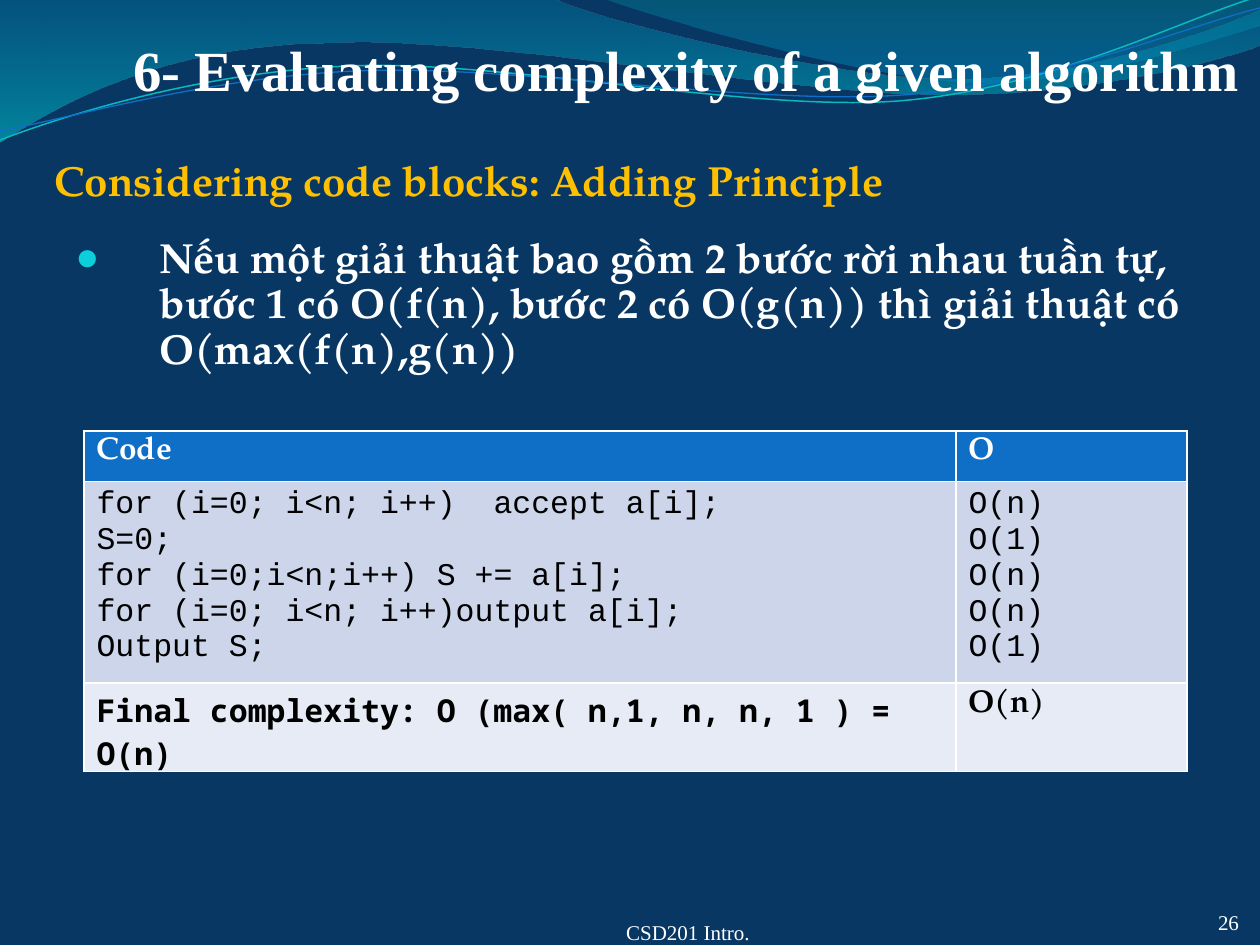
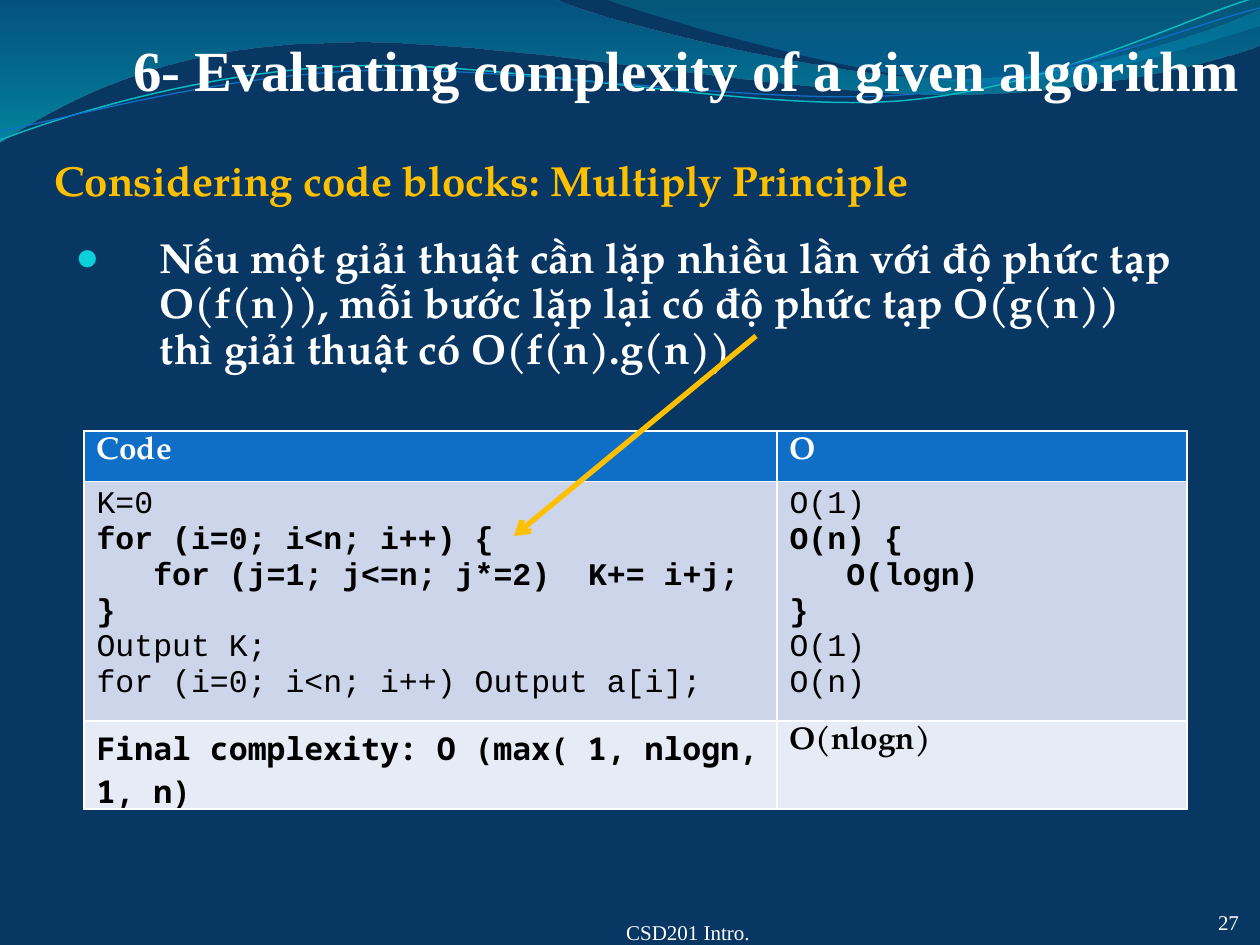
from lxml.etree import SubElement
from pptx import Presentation
from pptx.dml.color import RGBColor
from pptx.enum.shapes import MSO_CONNECTOR
from pptx.enum.text import MSO_ANCHOR, PP_ALIGN
from pptx.oxml.ns import qn
from pptx.util import Emu, Pt

SCALE = 914400 / 126
NAVY = RGBColor(0x08, 0x37, 0x63)
WHITE = RGBColor(0xFF, 0xFF, 0xFF)
BLACK = RGBColor(0, 0, 0)
GOLD = RGBColor(0xFF, 0xC0, 0x00)
CYAN = RGBColor(0x0B, 0xD0, 0xD9)
BLUE = RGBColor(0x0F, 0x6F, 0xC6)
TEAL_LINE = RGBColor(0x0A, 0xB8, 0xBF)
DEEP_BLUE = RGBColor(0x00, 0x74, 0xA1)
AQUA = RGBColor(0x00, 0xC6, 0xCF)
TEAL = RGBColor(0x00, 0xA1, 0xA9)
AZURE = RGBColor(0x00, 0x8B, 0xBF)
ROW_DARK = RGBColor(0xCC, 0xD5, 0xEA)
ROW_LIGHT = RGBColor(0xE7, 0xEB, 0xF5)
SERIF, TITLE_FONT = "TeX Gyre Pagella", "Times New Roman"
CODE_FONT, MONO = "Courier New", "Noto Sans Mono"

WIDE_WAVE = [
    [(0, 0)], [(554, -1)],
    [(600, 21), (837, 79), (955, 79)], [(1075, 79), (1207, 33), (1260, 11)],
    [(1261, 45)],
    [(1239, 55), (1096, 96), (940, 94)], [(784, 94), (481, 35), (324, 43)],
    [(163, 45), (58, 105), (-1, 142)], [(0, 0)],
]
RIGHT_WAVE = [
    [(604, -1)],
    [(641, 14), (859, 78), (969, 82)], [(1079, 87), (1211, 40), (1260, 26)],
    [(1260, 0)], [(604, -1)],
]
TEAL_CURVE = [
    [(0, 140)],
    [(60, 117), (199, 72), (349, 66)], [(498, 59), (747, 112), (898, 101)],
    [(1050, 89), (1182, 19), (1257, -3)],
]
BLUE_CURVE = [
    [(0, 131)],
    [(59, 121), (207, 77), (357, 71)], [(508, 64), (752, 106), (903, 95)],
    [(1053, 84), (1186, 26), (1260, 8)],
]


def px(length):
    """Turn picture pixels into EMU."""
    return Emu(round(length * SCALE))


class Deck:
    """Hold the shared style and the slide being built."""

    def __init__(self):
        self.presentation = Presentation()
        self.presentation.slide_width = px(1260)
        self.presentation.slide_height = px(945)
        self.slide = None

    def start_slide(self, number, heading, principle):
        """Add a slide with its waves, title, texts and footer."""
        self.slide = self.presentation.slides.add_slide(self.presentation.slide_layouts[6])
        self.slide.background.fill.solid()
        self.slide.background.fill.fore_color.rgb = NAVY
        self.wave(WIDE_WAVE, ((0, DEEP_BLUE, 45), (1, AQUA, 55)))
        self.wave(RIGHT_WAVE, ((0, TEAL, 30), (0.8, AZURE, 45)))
        self.curve(TEAL_CURVE, TEAL_LINE, 0.85)
        self.curve(BLUE_CURVE, BLUE, 0.75)
        self.text((63, 10, 1176, 93), "6- Evaluating complexity of a given algorithm",
                  TITLE_FONT, 32.4, WHITE, True, PP_ALIGN.RIGHT, MSO_ANCHOR.BOTTOM, (0, 6, 0, 0))
        self.bullet((63, 231, 1134, 168), principle)
        for box, label, align in (((378, 911, 620, 34), "CSD201 Intro.", PP_ALIGN.CENTER),
                                  ((1166, 903, 73, 32), number, PP_ALIGN.RIGHT)):
            self.text(box, label, TITLE_FONT, 12, WHITE, False, align,
                      MSO_ANCHOR.BOTTOM, (0, 0, 0, 0))
        self.text((42, 148, 977, 63), heading, SERIF, 24, GOLD, True)

    def outline(self, path, close):
        """Add a freeform whose three-point segments are Bezier curves."""
        ends = [segment[-1] for segment in path]
        builder = self.slide.shapes.build_freeform(*ends[0], scale=SCALE)
        builder.add_line_segments(ends[1:], close=close)
        shape = builder.convert_to_shape()
        shape.shadow.inherit = False
        left, top = (min(values) for values in zip(*ends))
        for line, segment in zip(list(shape.element.iter(qn("a:lnTo"))), path[1:]):
            if len(segment) == 1:
                continue
            bezier = SubElement(line.getparent(), qn("a:cubicBezTo"))
            for x, y in segment:
                SubElement(bezier, qn("a:pt"), x=str(x - left), y=str(y - top))
            line.getparent().replace(line, bezier)
        return shape

    def wave(self, path, stops):
        """Add a filled wave with a translucent downward gradient."""
        shape = self.outline(path, True)
        shape.line.fill.background()
        shape.fill.gradient()
        shape.fill.gradient_angle = 270
        for stop, (position, color, _) in zip(shape.fill.gradient_stops, stops):
            stop.position = position
            stop.color.rgb = color
        for tint, (_, _, opacity) in zip(shape.element.iter(qn("a:srgbClr")), stops):
            SubElement(tint, qn("a:alpha"), val=str(opacity * 1000))

    def curve(self, path, color, width):
        """Add an open curved line."""
        shape = self.outline(path, False)
        shape.fill.background()
        shape.line.color.rgb = color
        shape.line.width = Pt(width)

    def style(self, paragraph, font, size, color, bold):
        """Set the font of a paragraph."""
        paragraph.font.name = font
        paragraph.font.size = Pt(size)
        paragraph.font.color.rgb = color
        paragraph.font.bold = bold

    def text(self, box, words, font, size, color, bold,
             align=PP_ALIGN.LEFT, anchor=MSO_ANCHOR.TOP, insets=None):
        """Add a one-paragraph text box and return the paragraph."""
        frame = self.slide.shapes.add_textbox(*map(px, box)).text_frame
        frame.word_wrap = True
        frame.vertical_anchor = anchor
        if insets:
            (frame.margin_left, frame.margin_top,
             frame.margin_right, frame.margin_bottom) = map(px, insets)
        paragraph = frame.paragraphs[0]
        paragraph.text = words
        paragraph.alignment = align
        self.style(paragraph, font, size, color, bold)
        return paragraph

    def bullet(self, box, words):
        """Add a bulleted statement with a hanging indent."""
        paragraph = self.text(box, words, SERIF, 24, WHITE, True)
        paragraph.line_spacing = 0.9
        paragraph.space_before = Pt(4.8)
        properties = paragraph._p.get_or_add_pPr()
        properties.set("marL", str(px(84)))
        properties.set("indent", str(-px(84)))
        color = SubElement(properties, qn("a:buClr"))
        SubElement(color, qn("a:srgbClr"), val=str(CYAN))
        SubElement(properties, qn("a:buSzPct"), val="95000")
        SubElement(properties, qn("a:buFont"), typeface=TITLE_FONT)
        SubElement(properties, qn("a:buChar"), char="●")
        properties.append(properties.find(qn("a:defRPr")))

    def cell(self, cell, lines, font, color, fill, bold_lines):
        """Fill one table cell."""
        cell.fill.solid()
        cell.fill.fore_color.rgb = fill
        cell.text = "\n".join(lines)
        for index, paragraph in enumerate(cell.text_frame.paragraphs):
            self.style(paragraph, font, 18, color, index in bold_lines)

    def complexity_table(self, widths, height, steps, final, bold_lines=()):
        """Add the table of code lines and their orders."""
        frame = self.slide.shapes.add_table(
            3, 2, px(84), px(431), px(sum(widths)), px(height))
        table = frame.table
        for column, width in zip(table.columns, widths):
            column.width = px(width)
        for row, least in zip(table.rows, (42, 23, 23)):
            row.height = px(least)
        frame.height = px(height)
        for index, header in enumerate(("Code", "O")):
            self.cell(table.cell(0, index), [header], SERIF, WHITE, BLUE, (0,))
            self.cell(table.cell(1, index), [step[index] for step in steps],
                      CODE_FONT, BLACK, ROW_DARK, bold_lines)
            self.cell(table.cell(2, index), [final[index]],
                      (MONO, SERIF)[index], BLACK, ROW_LIGHT, (0,))

    def arrow(self, start, end):
        """Add a gold arrow."""
        line = self.slide.shapes.add_connector(
            MSO_CONNECTOR.STRAIGHT, *map(px, start + end))
        line.line.color.rgb = GOLD
        line.line.width = Pt(3)
        properties = line.element.spPr
        SubElement(properties.find(qn("a:ln")), qn("a:tailEnd"), type="arrow")
        SubElement(properties, qn("a:effectLst"))


deck = Deck()

deck.start_slide(
    "26", "Considering code blocks: Adding Principle",
    "Nếu một giải thuật bao gồm 2 bước rời nhau tuần tự, bước 1 có O(f(n), "
    "bước 2 có O(g(n)) thì giải thuật có O(max(f(n),g(n))")
deck.complexity_table(
    (872, 231), 302,
    [("for (i=0; i<n; i++)  accept a[i];", "O(n)"),
     ("S=0;", "O(1)"),
     ("for (i=0;i<n;i++) S += a[i];", "O(n)"),
     ("for (i=0; i<n; i++)output a[i];", "O(n)"),
     ("Output S;", "O(1)")],
    ("Final complexity: O (max( n,1, n, n, 1 ) = O(n)", "O(n)"))

deck.start_slide(
    "27", "Considering code blocks: Multiply Principle",
    "Nếu một giải thuật cần lặp nhiều lần với độ phức tạp O(f(n)), "
    "mỗi bước lặp lại có độ phức tạp O(g(n)) thì giải thuật có O(f(n).g(n))")
deck.complexity_table(
    (693, 410), 340,
    [("K=0", "O(1)"),
     ("for (i=0; i<n; i++) {", "O(n) {"),
     ("   for (j=1; j<=n; j*=2)  K+= i+j;", "   O(logn)"),
     ("}", "}"),
     ("Output K;", "O(1)"),
     ("for (i=0; i<n; i++) Output a[i];", "O(n)")],
    ("Final complexity: O (max( 1, nlogn, 1, n)", "O(nlogn)"),
    bold_lines=(1, 2, 3))
deck.arrow((756, 336), (514, 536))

deck.presentation.save("out.pptx")
